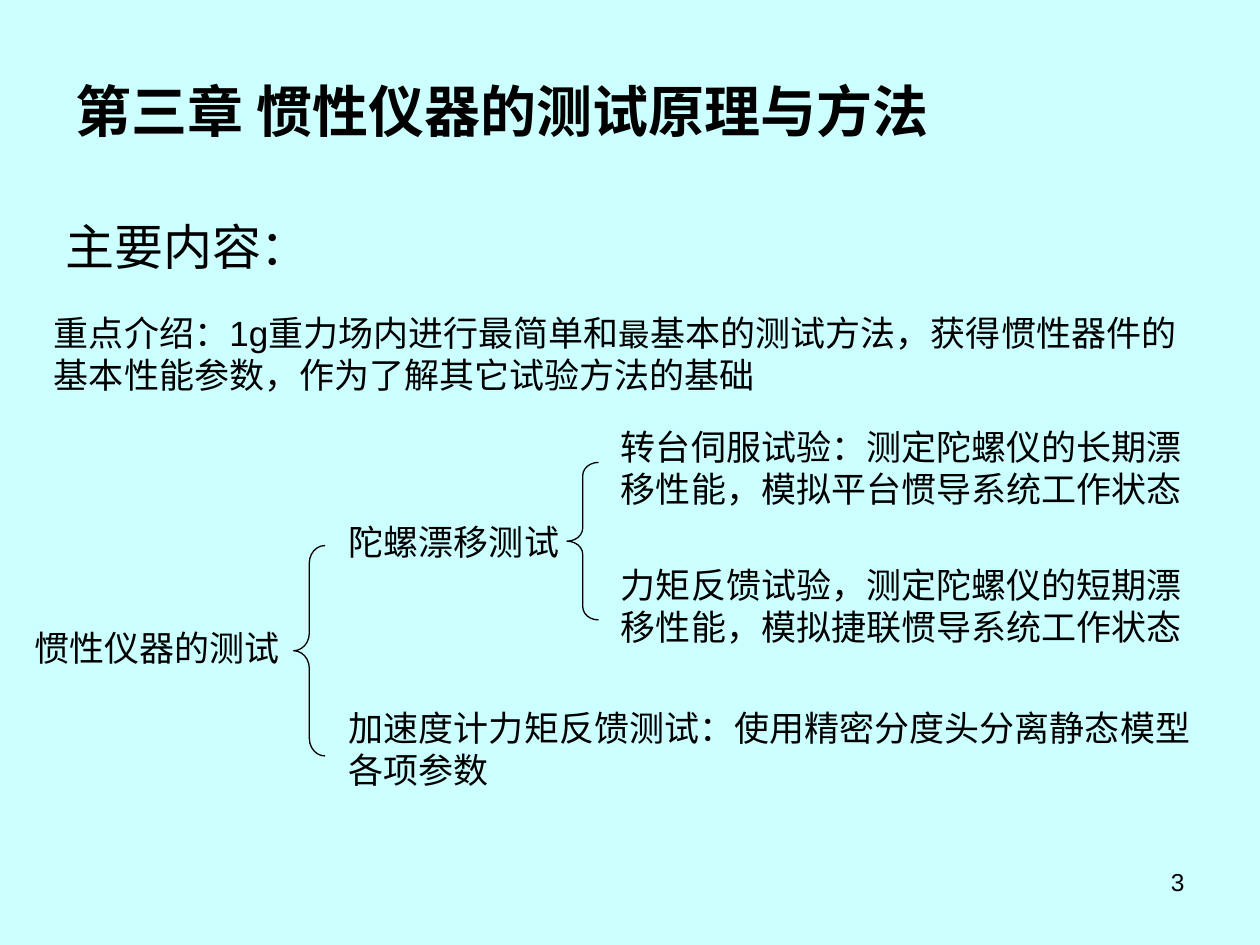
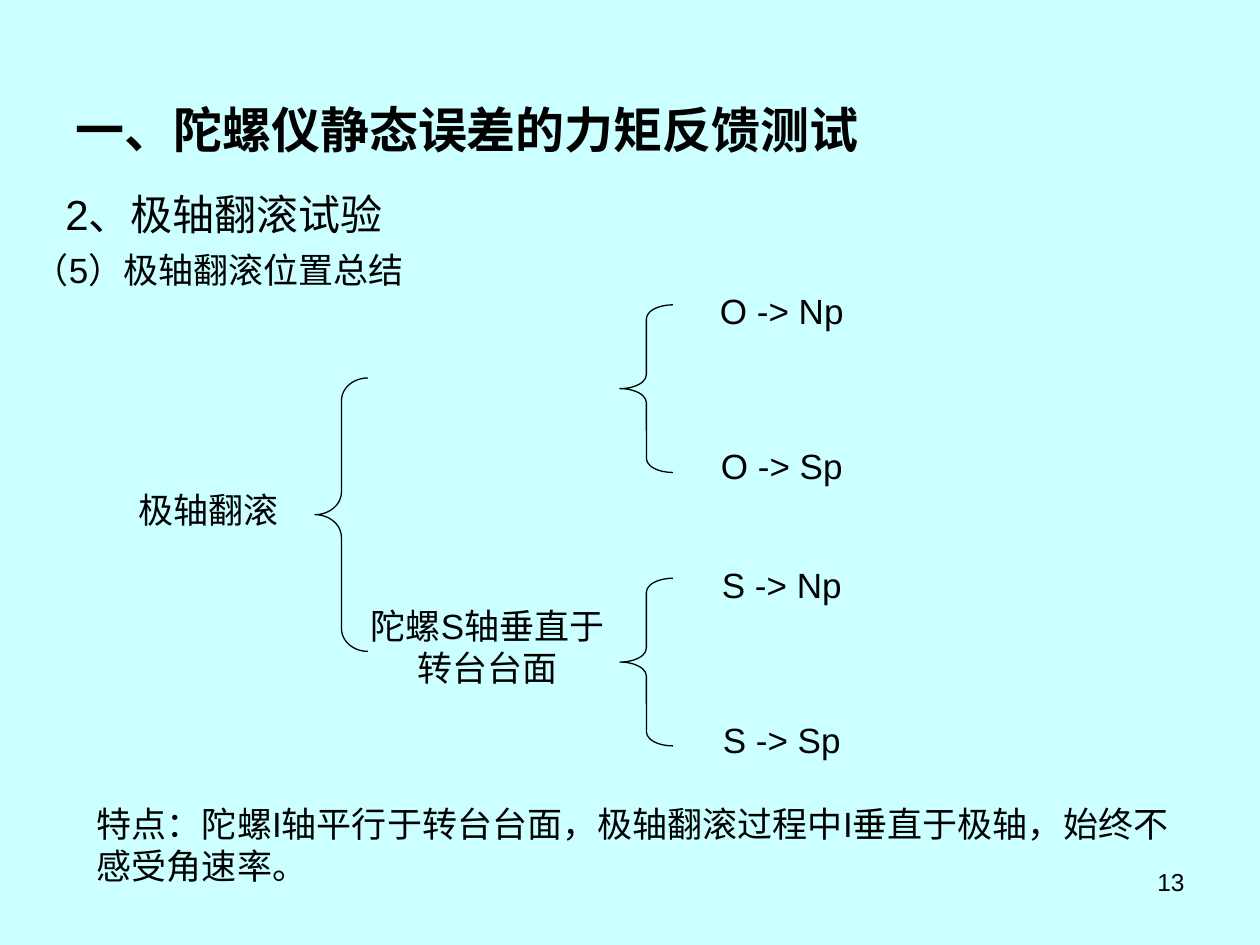
from dataclasses import dataclass

from pptx import Presentation
from pptx.dml.color import RGBColor
from pptx.enum.lang import MSO_LANGUAGE_ID
from pptx.enum.shapes import MSO_SHAPE
from pptx.enum.text import MSO_ANCHOR, MSO_AUTO_SIZE, PP_ALIGN
from pptx.util import Inches, Pt

INK = "000000"
PAPER = "CCFFFF"
FACE = "Arial"


@dataclass
class Label:
    text: str
    left: float
    top: float
    width: float
    height: float = 0.44
    size: int = 20
    align: PP_ALIGN = PP_ALIGN.LEFT
    wrap: bool = True


@dataclass
class Brace:
    left: float
    top: float
    width: float
    height: float


def color(code: str) -> RGBColor:
    return RGBColor.from_string(code)


def style(run, size: int, bold: bool = False) -> None:
    font = run.font
    font.name = FACE
    font.size = Pt(size)
    font.bold = bold
    font.color.rgb = color(INK)
    font.language_id = MSO_LANGUAGE_ID.SIMPLIFIED_CHINESE


def fill_text(frame, text: str, size: int, align: PP_ALIGN, bold: bool = False) -> None:
    frame.text = text
    for para in frame.paragraphs:
        para.alignment = align
        for run in para.runs:
            style(run, size, bold)


def add_label(slide, item: Label):
    """Draw a label and return its last paragraph."""
    box = slide.shapes.add_textbox(
        Inches(item.left), Inches(item.top), Inches(item.width), Inches(item.height))
    frame = box.text_frame
    frame.word_wrap = item.wrap
    fill_text(frame, item.text, item.size, item.align)
    return frame.paragraphs[-1]


def add_brace(slide, item: Brace) -> None:
    shape = slide.shapes.add_shape(
        MSO_SHAPE.LEFT_BRACE,
        Inches(item.left), Inches(item.top), Inches(item.width), Inches(item.height))
    # Each bend takes a twelfth of the height.
    shape.adjustments[0] = item.height / item.width / 12
    shape.shadow.inherit = False
    shape.fill.background()
    shape.line.color.rgb = color(INK)
    shape.line.width = Pt(0.75)


def add_page(deck, title: str, size: int, top: float, height: float, number: int):
    """Start a slide with its title and page number."""
    slide = deck.slides.add_slide(deck.slide_layouts[5])
    head = slide.shapes.title
    head.left, head.top = Inches(0.5), Inches(top)
    head.width, head.height = Inches(9), Inches(height)
    frame = head.text_frame
    frame.auto_size = MSO_AUTO_SIZE.NONE
    frame.vertical_anchor = MSO_ANCHOR.MIDDLE
    fill_text(frame, title, size, PP_ALIGN.LEFT, bold=True)
    add_label(slide, Label(str(number), 7.17, 6.83, 2.33, 0.52, 14, PP_ALIGN.RIGHT))
    return slide


def add_outline(deck) -> None:
    slide = add_page(deck, "第三章 惯性仪器的测试原理与方法", 32, 0.41, 0.92, 3)
    for item in (
        Label("主要内容：", 0.42, 1.67, 9, 0.83, 28),
        Label("惯性仪器的测试", 0.17, 4.92, 2.15, align=PP_ALIGN.CENTER, wrap=False),
        Label("陀螺漂移测试", 2.67, 4.08, 1.87, wrap=False),
        Label("转台伺服试验：测定陀螺仪的长期漂移性能，模拟平台惯导系统工作状态",
              4.83, 3.33, 4.75, 0.77),
        Label("力矩反馈试验，测定陀螺仪的短期漂移性能，模拟捷联惯导系统工作状态",
              4.83, 4.42, 4.92, 0.77),
        Label("加速度计力矩反馈测试：使用精密分度头分离静态模型各项参数",
              2.67, 5.56, 7, 0.77),
    ):
        add_label(slide, item)
    intro = add_label(slide, Label("重点介绍：1g重力场内进行最简单和", 0.33, 2.42, 9.33, 0.77))
    for text, size in (
        ("最", 18),
        ("基本的测试方法，获得惯性器件的基本性能参数，作为了解其它试验方法的基础", 20),
    ):
        run = intro.add_run()
        run.text = text
        style(run, size)
    add_brace(slide, Brace(2.33, 4.33, 0.25, 1.67))
    add_brace(slide, Brace(4.5, 3.67, 0.25, 1.25))


def add_summary(deck) -> None:
    slide = add_page(deck, "一、陀螺仪静态误差的力矩反馈测试", 28, 0.4, 1.25, 13)
    mid = PP_ALIGN.CENTER
    for item in (
        Label("2、极轴翻滚试验", 0.42, 1.45, 4.42, 0.58, 24),
        Label("（5）极轴翻滚位置总结", 0.17, 1.92, 4.58),
        Label("极轴翻滚", 1, 3.83, 1.31, align=mid, wrap=False),
        Label("陀螺S轴垂直于\n转台台面", 2.58, 4.75, 2.58, 0.77, align=mid),
        Label("特点：陀螺I轴平行于转台台面，极轴翻滚过程中I垂直于极轴，始终不感受角速率。",
              0.67, 6.32, 8.75, 0.77),
    ):
        add_label(slide, item)
    add_brace(slide, Brace(2.5, 3, 0.42, 2.17))
    for axis, top in (("O", 2.25), ("S", 4.42)):
        add_brace(slide, Brace(4.92, top + 0.17, 0.42, 1.33))
        for row, pole in enumerate(("Np", "Sp")):
            add_label(slide, Label(f"{axis} -> {pole}", 5.33, top + row * 1.23, 1.75, align=mid))


def main() -> None:
    deck = Presentation()
    deck.slide_width, deck.slide_height = Inches(10), Inches(7.5)
    back = deck.slide_master.background.fill
    back.solid()
    back.fore_color.rgb = color(PAPER)
    add_outline(deck)
    add_summary(deck)
    deck.save("out.pptx")


if __name__ == "__main__":
    main()
